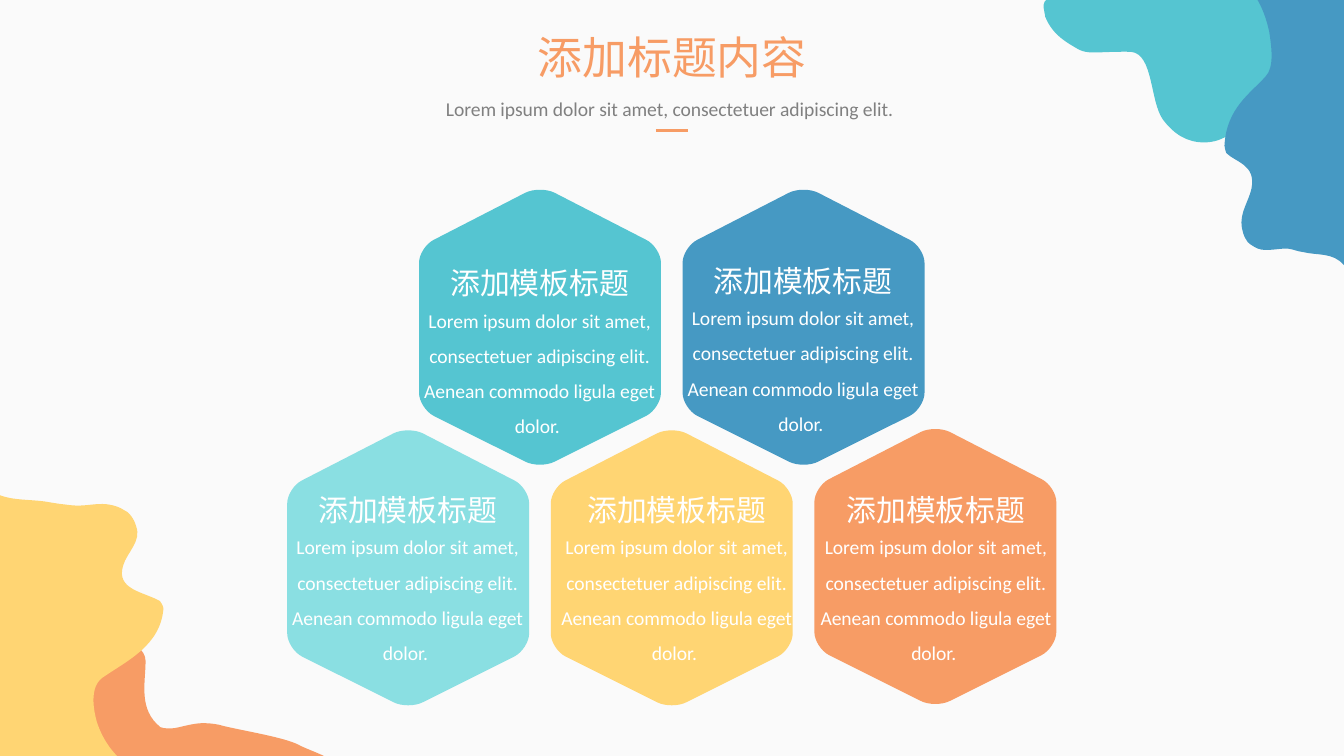
import dataclasses

import lxml.etree
import pptx
import pptx.dml.color
import pptx.enum.shapes
import pptx.enum.text
import pptx.oxml.ns
import pptx.util


@dataclasses.dataclass(frozen=True)
class Theme:
    background: str = "FAFAFA"
    teal: str = "55C5D1"
    blue: str = "4699C3"
    aqua: str = "8ADFE2"
    yellow: str = "FFD573"
    orange: str = "F79C65"
    grey: str = "808080"
    white: str = "FFFFFF"
    latin: str = "Calibri"
    cjk: str = "Noto Sans CJK SC"
    title_size: float = 24
    heading_size: float = 16
    body_size: float = 10.5


THEME = Theme()
SUBTITLE = "Lorem ipsum dolor sit amet, consectetuer adipiscing elit. "
BODY = SUBTITLE + "Aenean commodo ligula eget dolor. "
HEADING = "添加模板标题"

BOTTOM_ORANGE = [
    (24, 333), (19, 333, 15, 336, 12, 338), (8, 344, 7, 350, 6, 356),
    (5, 363, 3, 370, 3, 377), (3, 378, 2, 379, 1, 380), (1, 382, 1, 383, 1, 384),
    (0, 387, 0, 391, -1, 394), (-3, 401, -7, 407, -12, 413),
    (48, 413, 137, 415, 166, 413), (180, 411.5, 180.3, 409, 176.1, 406.4),
    (172, 403.8, 163.5, 401, 160, 399),
    (152, 395, 133, 392, 120, 389), (117, 388, 113, 387.4, 109, 387.4),
    (104, 387.4, 99, 389, 94, 390), (91, 390.5, 88, 390.3, 86, 389.6),
    (74, 380, 78, 366, 78, 354), (78, 351, 76, 348, 74, 347),
    (73, 346, 71, 346, 69, 346), (67, 346, 66, 346, 62, 348),
    (54, 348, 52, 354, 47, 357), (46, 358, 45, 358, 44, 358),
    (42, 358, 39, 356, 38, 354), (35, 346, 36, 336, 27, 333),
    (26, 333, 25, 333, 24, 333),
]
BOTTOM_YELLOW = [
    (-6, 262), (-6, 408), (66, 408), (60, 403, 55, 396, 52, 387),
    (50, 380, 48, 368, 55, 363), (68, 354, 86, 346, 87.6, 326),
    (87.6, 325, 86.5, 323, 85.7, 322), (77, 317, 62, 316, 66, 303),
    (68, 296, 76, 290, 73, 282), (72, 278, 69, 274, 66, 273),
    (63, 271, 58, 270, 55, 270), (50, 270, 46, 270.9, 42, 270.9),
    (40, 270.9, 37, 270.6, 35, 270.3), (32, 270, 29, 269.5, 26, 269),
    (15, 267, 3, 269, -6, 262),
]
TOP_TEAL = [
    (720, -4), (671, -4, 599, -6, 572, -4), (556, -1, 559, 2, 560, 9),
    (564, 19, 572, 23, 577, 26), (581, 28.6, 586, 28.1, 589, 28.1),
    (593, 27.9, 602, 27.6, 606, 27.8), (618, 29, 616, 54, 623, 64),
    (629, 72, 636, 76.3, 645, 76.3), (650, 76.3, 655, 75, 660, 71),
    (669, 64, 675, 50, 684, 42), (696, 30, 707, 32, 720, 30),
]
TOP_BLUE = [
    (720, 142), (720, -4), (671, -4), (675, 1, 678, 8, 680, 17),
    (681, 24, 683, 36, 678, 41), (670, 50, 657, 58, 656, 78),
    (656, 79, 656.6, 81, 657, 82), (662, 87, 673, 88, 670.5, 101),
    (669, 108, 664, 114, 665.3, 122), (666, 126, 668, 130, 670, 131),
    (673, 133, 675, 133.9, 678, 133.9), (683, 133.9, 686, 133, 690, 133.2),
    (693, 133.5, 695, 134.7, 698, 135), (706, 137, 714, 135, 720, 142),
]
HEXAGON = [
    (56.9, 2.2), (61.2, 0, 68.4, 0, 72.7, 2.2),
    (121.7, 27.4), (126, 29.5, 129.6, 35.3, 129.6, 39.6),
    (129.6, 109.4), (129.6, 113.8, 126, 119.5, 121.7, 121.7),
    (72.7, 146.2), (68.4, 148.4, 61.2, 148.4, 56.9, 146.2),
    (7.9, 121.7), (3.6, 119.5, 0, 113.8, 0, 109.4),
    (0, 39.6), (0, 35.3, 3.6, 29.5, 7.9, 27.4),
]
HEX_LEFT, HEX_STEP = 153.9, 70.6
CARDS = [
    (1, 101.1, THEME.teal, 215.7, 155.5),
    (3, 101.1, THEME.blue, 356.8, 154.2),
    (2, 230, THEME.yellow, 289.1, 277),
    (4, 229.3, THEME.orange, 428, 277),
    (0, 230, THEME.aqua, 145, 277),
]


def rgb(color):
    return pptx.dml.color.RGBColor.from_string(color)


def put_text(tf, text, *, font, size, color, spacing=1.0, wrap=True):
    tf.word_wrap = wrap
    tf.auto_size = pptx.enum.text.MSO_AUTO_SIZE.SHAPE_TO_FIT_TEXT
    tf.vertical_anchor = pptx.enum.text.MSO_ANCHOR.TOP
    p = tf.paragraphs[0]
    pPr = p._p.get_or_add_pPr()
    pPr.set("marL", "0")
    pPr.set("indent", "0")
    lxml.etree.SubElement(pPr, pptx.oxml.ns.qn("a:buNone"))
    p.alignment = pptx.enum.text.PP_ALIGN.CENTER
    p.line_spacing = spacing
    p.space_before = pptx.util.Pt(0)
    r = p.add_run()
    r.text = text
    r.font.size = pptx.util.Pt(size)
    r.font.color.rgb = rgb(color)
    r.font.name = font
    ea = lxml.etree.SubElement(r._r.get_or_add_rPr(), pptx.oxml.ns.qn("a:ea"))
    ea.set("typeface", font)


class SlideBuilder:
    def __init__(self, s, theme):
        self.s = s
        self.theme = theme
        s.background.fill.solid()
        s.background.fill.fore_color.rgb = rgb(theme.background)

    def placeholder(self, idx, text, box, **style):
        sp = self.s.placeholders[idx]
        sp.left, sp.top, sp.width, sp.height = map(pptx.util.Pt, box)
        put_text(sp.text_frame, text, **style)

    def text(self, text, box, **style):
        sp = self.s.shapes.add_textbox(*map(pptx.util.Pt, box))
        put_text(sp.text_frame, text, **style)

    def outline(self, segments, color, left=0, top=0):
        points = [(pptx.util.Pt(left + x), pptx.util.Pt(top + y))
                  for seg in segments for x, y in zip(seg[::2], seg[1::2])]
        builder = self.s.shapes.build_freeform(*points[0])
        builder.add_line_segments(points[1:], close=True)
        sp = builder.convert_to_shape()
        self.curve(sp, segments[1:])
        sp.shadow.inherit = False
        sp.fill.solid()
        sp.fill.fore_color.rgb = rgb(color)
        sp.line.fill.background()

    def curve(self, sp, segments):
        qn = pptx.oxml.ns.qn
        lines = iter(list(sp._element.iter(qn("a:lnTo"))))
        for seg in segments:
            first = next(lines)
            if len(seg) == 6:
                bezier = lxml.etree.Element(qn("a:cubicBezTo"))
                first.addprevious(bezier)
                for line in (first, next(lines), next(lines)):
                    bezier.append(line[0])
                    line.getparent().remove(line)

    def line(self, ends, color, width):
        cxn = self.s.shapes.add_connector(
            pptx.enum.shapes.MSO_CONNECTOR.STRAIGHT, *map(pptx.util.Pt, ends))
        cxn.line.color.rgb = rgb(color)
        cxn.line.width = pptx.util.Pt(width)
        lxml.etree.SubElement(cxn._element.spPr, pptx.oxml.ns.qn("a:effectLst"))

    def card_text(self, left, top):
        t = self.theme
        self.text(BODY, (left, top, 146.9, 81.4), font=t.latin,
                  size=t.body_size, color=t.white, spacing=1.5)
        self.text(HEADING, (left + 17.6, top - 17.1, 111.6, 26.6), font=t.cjk,
                  size=t.heading_size, color=t.white, wrap=False)


def main():
    prs = pptx.Presentation()
    prs.slide_width, prs.slide_height = pptx.util.Pt(720), pptx.util.Pt(405)
    t = THEME
    b = SlideBuilder(prs.slides.add_slide(prs.slide_layouts[1]), t)
    b.outline(BOTTOM_ORANGE, t.orange)
    b.outline(BOTTOM_YELLOW, t.yellow)
    b.outline(TOP_TEAL, t.teal)
    b.outline(TOP_BLUE, t.blue)
    b.placeholder(0, "添加标题内容", (280, 12.2, 160, 36), font=t.cjk,
                  size=t.title_size, color=t.orange, wrap=False)
    b.placeholder(1, SUBTITLE, (216.3, 41.8, 287.3, 24.5), font=t.latin,
                  size=t.body_size, color=t.grey, spacing=1.5)
    b.line((351.4, 69.8, 368.6, 69.8), t.orange, 1.5)
    for column, top, color, _, _ in CARDS:
        b.outline(HEXAGON, color, HEX_LEFT + column * HEX_STEP, top)
    for *_, left, top in CARDS:
        b.card_text(left, top)
    prs.save("out.pptx")


if __name__ == "__main__":
    main()
